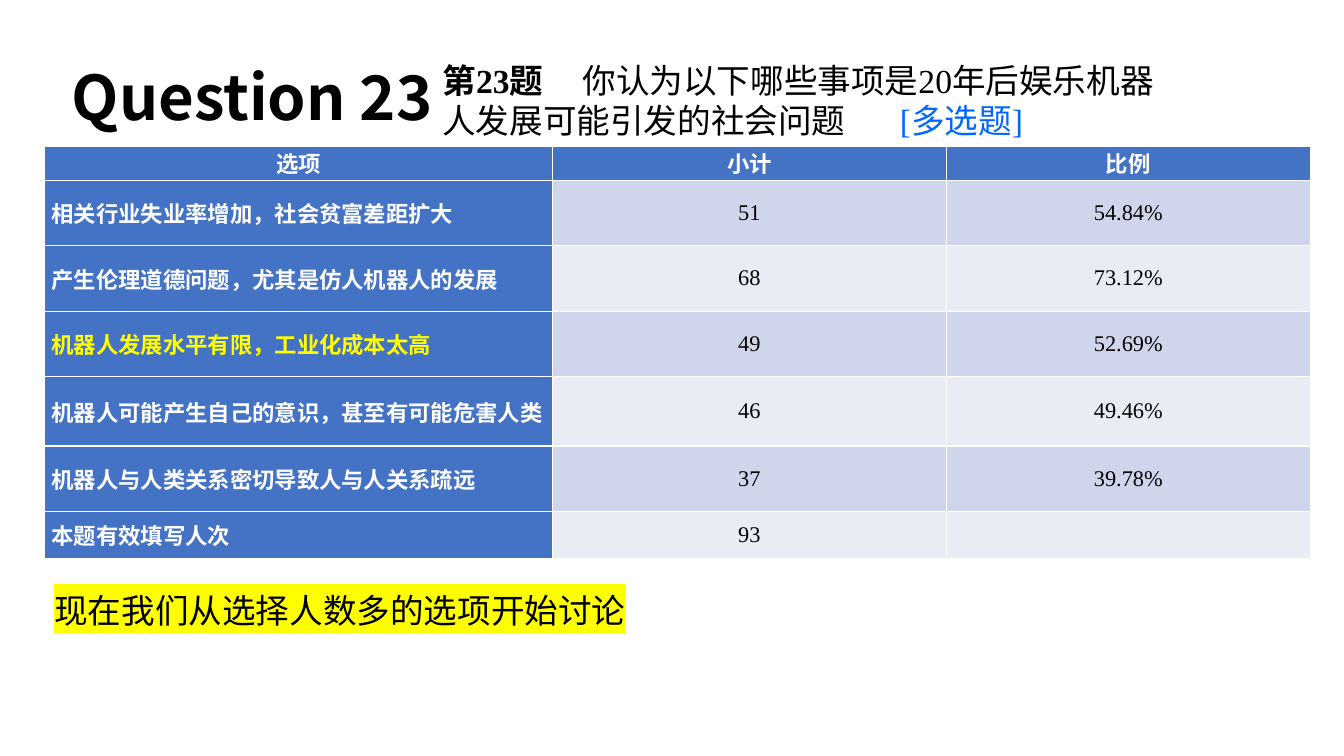
from lxml.etree import SubElement
from pptx import Presentation
from pptx.dml.color import RGBColor
from pptx.enum.text import MSO_ANCHOR, MSO_AUTO_SIZE, PP_ALIGN
from pptx.oxml.ns import qn
from pptx.util import Cm, Pt

COLORS = {"black": "000000", "white": "FFFFFF", "yellow": "FFFF00", "link": "0066FF",
          "blue": "4472C4", "band_dark": "CFD5EA", "band_light": "E9EBF5"}
SANS, SERIF = "Noto Sans CJK SC", "Times New Roman"

HEADER = ("选项", "小计", "比例")
ANSWERS = [
    ("相关行业失业率增加，社会贫富差距扩大", "51", "54.84%"),
    ("产生伦理道德问题，尤其是仿人机器人的发展", "68", "73.12%"),
    ("机器人发展水平有限，工业化成本太高", "49", "52.69%"),
    ("机器人可能产生自己的意识，甚至有可能危害人类", "46", "49.46%"),
    ("机器人与人类关系密切导致人与人关系疏远", "37", "39.78%"),
    ("本题有效填写人次", "93", ""),
]
HIGHLIGHTED_ROW = 3
COLUMN_WIDTHS = (12.8, 9.93, 9.17)
ROW_HEIGHTS = (0.86, 1.65, 1.65, 1.65, 1.75, 1.65, 1.19)


def color(name):
    return RGBColor.from_string(COLORS[name])


class SurveySlide:
    def __init__(self, deck):
        self.page = deck.slides.add_slide(deck.slide_layouts[5])

    def style(self, para, size, font=SANS, ink="black", bold=False):
        para.font.size, para.font.name, para.font.bold = Pt(size), font, bold
        para.font.color.rgb = color(ink)
        defaults = para._p.get_or_add_pPr().find(qn("a:defRPr"))
        SubElement(defaults, qn("a:ea")).set("typeface", SANS)

    def place(self, shape, left, top, width, height):
        shape.left, shape.top = Cm(left), Cm(top)
        shape.width, shape.height = Cm(width), Cm(height)

    def title(self, text, *area):
        title = self.page.shapes.title
        self.place(title, *area)
        frame = title.text_frame
        frame.text = text
        frame.auto_size = MSO_AUTO_SIZE.NONE
        frame.vertical_anchor = MSO_ANCHOR.MIDDLE
        para = frame.paragraphs[0]
        para.alignment, para.line_spacing = PP_ALIGN.LEFT, 0.9
        self.style(para, 44, bold=True)

    def text(self, spans, *area, font=SANS, wrap=True, anchor=MSO_ANCHOR.TOP, tabs=()):
        """Each span is (text, ink, bold, highlight)."""
        frame = self.page.shapes.add_textbox(*map(Cm, area)).text_frame
        frame.word_wrap, frame.vertical_anchor = wrap, anchor
        para = frame.paragraphs[0]
        if tabs:
            stops = SubElement(para._p.get_or_add_pPr(), qn("a:tabLst"))
            for position in tabs:
                stop = SubElement(stops, qn("a:tab"))
                stop.set("pos", str(Cm(position)))
                stop.set("algn", "l")
        self.style(para, 24, font)
        for words, ink, bold, highlight in spans:
            span = para.add_run()
            span.text = words
            span.font.bold, span.font.color.rgb = bold, color(ink)
            if highlight:
                marker = SubElement(span._r.get_or_add_rPr(), qn("a:highlight"))
                SubElement(marker, qn("a:srgbClr")).set("val", COLORS[highlight])

    def cell(self, cell, text, fill, ink, font, bold, align, padding):
        cell.fill.solid()
        cell.fill.fore_color.rgb = color(fill)
        cell.vertical_anchor = MSO_ANCHOR.MIDDLE
        cell.margin_left = cell.margin_right = Cm(0.18)
        cell.margin_top = cell.margin_bottom = Cm(padding)
        cell.text = text
        para = cell.text_frame.paragraphs[0]
        para.alignment = align
        self.style(para, 16, font, ink, bold)

    def table(self, rows, left, top):
        table = self.page.shapes.add_table(
            len(rows), len(COLUMN_WIDTHS), Cm(left), Cm(top),
            Cm(sum(COLUMN_WIDTHS)), Cm(sum(ROW_HEIGHTS))).table
        table.first_col = True
        for column, width in zip(table.columns, COLUMN_WIDTHS):
            column.width = Cm(width)
        for row, height in zip(table.rows, ROW_HEIGHTS):
            row.height = Cm(height)
        for r, row in enumerate(rows):
            for c, text in enumerate(row):
                align = PP_ALIGN.CENTER if r == 0 or c else PP_ALIGN.LEFT
                if r == 0 or c == 0:
                    ink = "yellow" if r == HIGHLIGHTED_ROW else "white"
                    look = ("blue", ink, SANS, True, align, 0)
                else:
                    band = "band_dark" if r % 2 else "band_light"
                    look = (band, "black", SERIF, False, align, 0.13)
                self.cell(table.cell(r, c), text, *look)


def main():
    deck = Presentation()
    deck.slide_width, deck.slide_height = Cm(33.87), Cm(19.05)
    slide = SurveySlide(deck)

    # Heading and question
    slide.title("Question 23", 1.55, 0.69, 29.21, 3.68)
    slide.text([("第23题\t", "black", True, None),
                ("你认为以下哪些事项是20年后娱乐机器人发展可能引发的社会问题\t", "black", False, None),
                ("[多选题]", "link", False, None)],
               10.9, 1.37, 19.05, 2.31, font=SERIF, anchor=MSO_ANCHOR.MIDDLE,
               tabs=(3.53, 11.53))

    # Survey results
    slide.table([HEADER, *ANSWERS], 1.12, 3.68)

    # Closing remark
    slide.text([("现在我们从选择人数多的选项开始讨论", "black", False, "yellow")],
               1.12, 14.73, 15.04, 1.27, wrap=False)

    deck.save("out.pptx")


if __name__ == "__main__":
    main()
